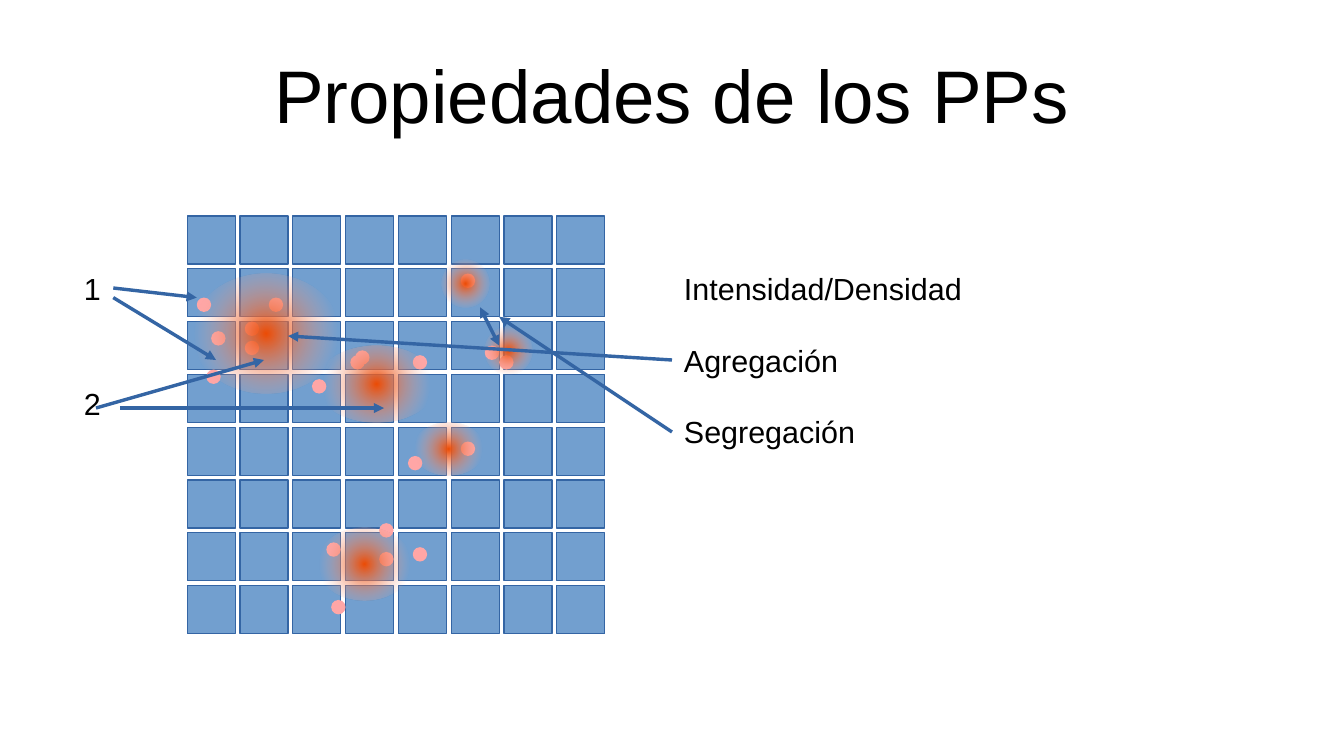
from itertools import product

from lxml import etree
from pptx import Presentation
from pptx.dml.color import RGBColor
from pptx.enum.shapes import MSO_CONNECTOR as Connector, MSO_SHAPE as Preset
from pptx.enum.text import MSO_ANCHOR as Anchor, PP_ALIGN as Align
from pptx.oxml import parse_xml
from pptx.oxml.ns import nsdecls, qn
from pptx.util import Cm, Pt

TITLE = "Propiedades de los PPs"
PROPERTIES = ["Intensidad/Densidad", "Agregación", "Segregación"]
ORDER_LABELS = [("1", 5.5), ("2", 7.9)]
POINTS = [
    (4.1, 6.2), (5.1, 6.7), (5.6, 6.2), (5.1, 7.1), (6.5, 7.9),
    (7.3, 7.4), (7.4, 7.3), (8.6, 7.4), (8.6, 11.4), (7.9, 11.5),
    (7.9, 10.9), (8.5, 9.5), (6.9, 12.5), (6.8, 11.3), (4.4, 6.9),
    (4.3, 7.7), (9.6, 5.7), (10.4, 7.4), (10.1, 7.2), (9.6, 9.2),
]
CLUSTERS = [
    (6.6, 11, 2, 1.5), (8.6, 8.8, 1.5, 1.1), (4, 5.7, 3.1, 2.5),
    (6.6, 7.2, 2.5, 1.6), (10.1, 6.8, 1, 1), (9.2, 5.4, 1, 1),
]
ARROWS = [
    (2.36, 6, 4.1, 6.2), (2.36, 6.2, 4.5, 7.5), (2, 8.5, 5.5, 7.5),
    (2.5, 8.5, 8, 8.5), (14, 7.5, 6, 7), (14, 9, 10.4, 6.6),
]
DOUBLE_ARROW = (10, 6.4, 10.4, 7.2)

GRID_LEFT, GRID_TOP, GRID_COUNT = 3.9, 4.5, 8
CELL_SIZE, CELL_PITCH, POINT_SIZE = 1, 1.1, 0.3

BLACK = RGBColor(0x00, 0x00, 0x00)
CELL_BLUE = RGBColor(0x72, 0x9F, 0xCF)
LINE_BLUE = RGBColor(0x34, 0x65, 0xA4)
POINT_PINK = RGBColor(0xFF, 0xA6, 0xA6)
CORE_ORANGE = RGBColor(0xED, 0x4C, 0x05)
HALO_PINK = RGBColor(0xF4, 0xAF, 0xA0)
EDGE_PINK = RGBColor(0xF7, 0xD1, 0xD5)
GLOW_STOPS = [(0, CORE_ORANGE, 100), (75, HALO_PINK, 0), (100, EDGE_PINK, 0)]


def add_run(paragraph, text, size):
    run = paragraph.add_run()
    run.text = text
    run.font.name = "Arial"
    run.font.size = Pt(size)
    run.font.color.rgb = BLACK


def add_text(slide, box, lines, wrap):
    frame = slide.shapes.add_textbox(*map(Cm, box)).text_frame
    frame.word_wrap = wrap
    for index, line in enumerate(lines):
        paragraph = frame.add_paragraph() if index else frame.paragraphs[0]
        paragraph.space_before = Pt(20.7 if index else 0)
        add_run(paragraph, line, 18)


def add_plain_shape(shapes, preset, box, color=None):
    shape = shapes.add_shape(preset, *map(Cm, box))
    shape.shadow.inherit = False
    shape.line.fill.background()
    if color is not None:
        shape.fill.solid()
        shape.fill.fore_color.rgb = color
    return shape


def set_hairline(line):
    line.color.rgb = LINE_BLUE
    line.width = Pt(0)


def add_glow(shape):
    stops = "".join(
        f'<a:gs pos="{position * 1000}"><a:srgbClr val="{color}">'
        f'<a:alpha val="{opacity * 1000}"/></a:srgbClr></a:gs>'
        for position, color, opacity in GLOW_STOPS
    )
    gradient = parse_xml(
        f'<a:gradFill {nsdecls("a")} rotWithShape="1"><a:gsLst>{stops}</a:gsLst>'
        '<a:path path="circle"><a:fillToRect l="50000" t="50000" r="50000" '
        'b="50000"/></a:path></a:gradFill>'
    )
    shape.element.spPr.find(qn("a:prstGeom")).addnext(gradient)


def add_arrow(slide, ends, heads):
    connector = slide.shapes.add_connector(Connector.STRAIGHT, *map(Cm, ends))
    set_hairline(connector.line)
    properties = connector.element.spPr
    for head in heads:
        etree.SubElement(properties.find(qn("a:ln")), qn(head), type="triangle")
    etree.SubElement(properties, qn("a:effectLst"))


def main():
    """Build the slide on the properties of point patterns."""
    presentation = Presentation()
    presentation.slide_width, presentation.slide_height = Cm(28), Cm(15.75)
    slide = presentation.slides.add_slide(presentation.slide_layouts[5])

    title = slide.shapes.title
    title.left, title.top, title.width, title.height = map(Cm, (1.4, 0.63, 25.2, 2.63))
    frame = title.text_frame
    frame.margin_left = frame.margin_right = frame.margin_top = frame.margin_bottom = 0
    frame.vertical_anchor = Anchor.MIDDLE
    frame.paragraphs[0].alignment = Align.CENTER
    add_run(frame.paragraphs[0], TITLE, 44)

    grid = slide.shapes.add_group_shape().shapes
    for row, column in product(range(GRID_COUNT), repeat=2):
        left = GRID_LEFT + column * CELL_PITCH
        top = GRID_TOP + row * CELL_PITCH
        box = (left, top, CELL_SIZE, CELL_SIZE)
        cell = add_plain_shape(grid, Preset.FLOWCHART_PROCESS, box, CELL_BLUE)
        set_hairline(cell.line)

    points = slide.shapes.add_group_shape().shapes
    for left, top in POINTS:
        add_plain_shape(points, Preset.OVAL, (left, top, POINT_SIZE, POINT_SIZE), POINT_PINK)

    add_text(slide, (14, 5.5, 9, 3.8), PROPERTIES, True)
    for box in CLUSTERS:
        add_glow(add_plain_shape(slide.shapes, Preset.OVAL, box))
    for label, top in ORDER_LABELS:
        add_text(slide, (1.5, top, 0.86, 0.97), [label], False)
    for ends in ARROWS:
        add_arrow(slide, ends, ["a:tailEnd"])
    add_arrow(slide, DOUBLE_ARROW, ["a:headEnd", "a:tailEnd"])

    presentation.save("out.pptx")


if __name__ == "__main__":
    main()
